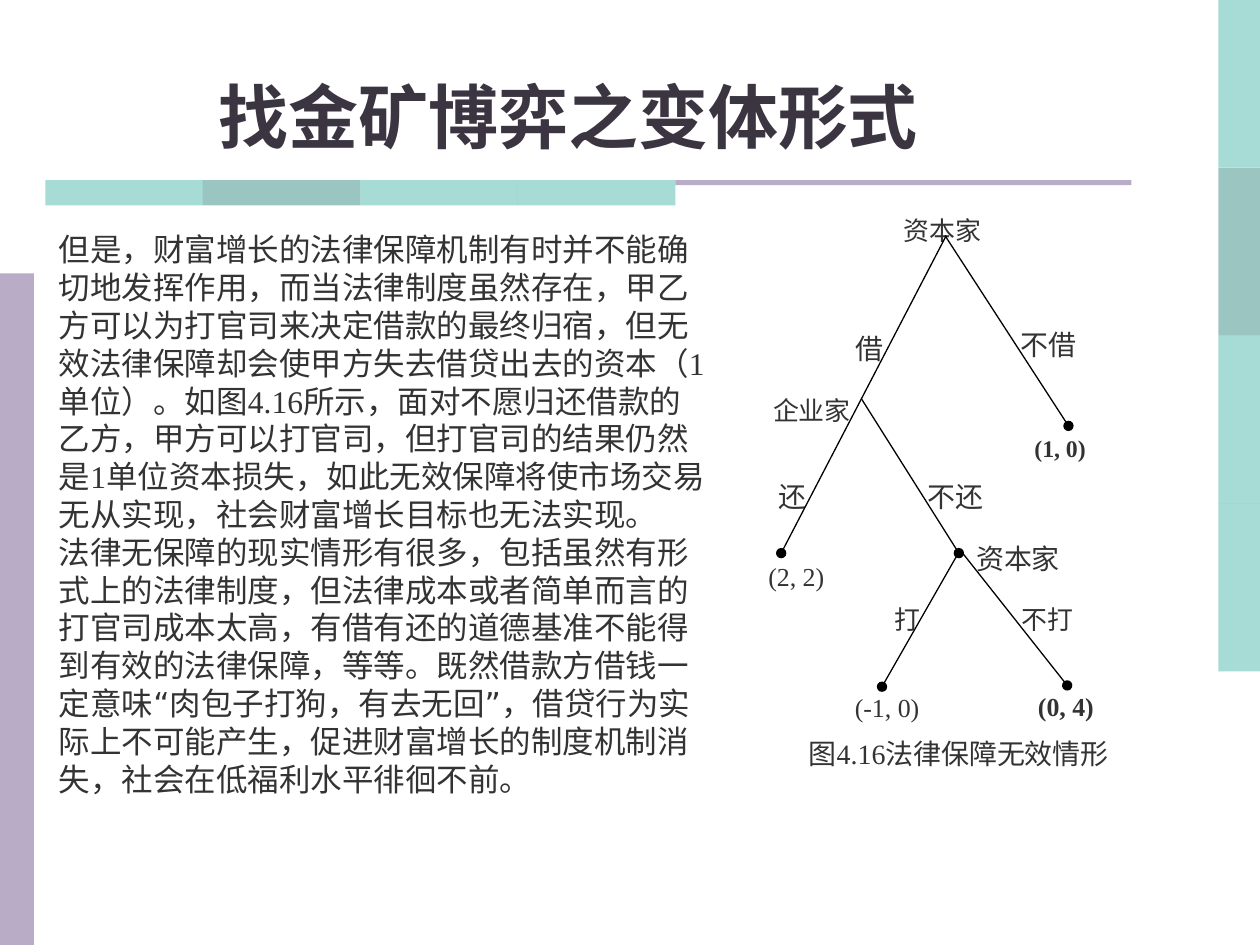
from dataclasses import dataclass

from lxml.etree import SubElement
from pptx import Presentation
from pptx.dml.color import RGBColor
from pptx.enum.shapes import MSO_CONNECTOR as Connector, MSO_SHAPE as Preset
from pptx.enum.text import MSO_ANCHOR as Anchor, MSO_AUTO_SIZE as AutoSize, PP_ALIGN as Align
from pptx.oxml.ns import qn
from pptx.util import Pt

EMU_PER_PX = 9144


@dataclass(frozen=True)
class Theme:
    title_color: str = "3A3541"
    text_color: str = "333333"
    white: str = "FFFFFF"
    black: str = "000000"
    lilac: str = "B8ACC6"
    teal: str = "51B9AF"
    deep_teal: str = "398D85"
    serif: str = "Times New Roman"
    sans: str = "DejaVu Sans"
    title_size: float = 40
    body_size: float = 18
    body_leading: float = 21.6
    large: float = 16
    medium: float = 14.8
    small: float = 13.6
    hairline: float = 0.75


@dataclass(frozen=True)
class Box:
    left: int
    top: int
    width: int
    height: int

    def inside(self, left, top, width, height):
        return Box(self.left + left, self.top + top, width, height)

    def emu(self):
        return [px(value) for value in (self.left, self.top, self.width, self.height)]


THEME = Theme()
SPACING = {THEME.large: 1.9, THEME.medium: 1.7, THEME.small: 1.8}


def px(value):
    return value * EMU_PER_PX


def color(name):
    return RGBColor.from_string(name)


def format_runs(paragraph, size, shade=THEME.text_color, bold=False, latin=THEME.serif):
    for run in paragraph.runs:
        run.font.size = Pt(size)
        run.font.bold = bold
        run.font.name = latin
        run.font.color.rgb = color(shade)
        SubElement(run.font._element, qn("a:ea"), typeface=THEME.sans)


def add_rectangle(slide, box, fill, opacity=100):
    shape = slide.shapes.add_shape(Preset.RECTANGLE, *box.emu())
    shape.shadow.inherit = False
    shape.fill.solid()
    shape.fill.fore_color.rgb = color(fill)
    shape.line.fill.background()
    if opacity < 100:
        fill_color = shape.fill._xPr.find(qn("a:solidFill"))[0]
        SubElement(fill_color, qn("a:alpha"), val=str(opacity * 1000))
    return shape


def add_band(slide, box, vertical=False):
    fills = [THEME.teal, THEME.deep_teal, THEME.teal, THEME.teal]
    length = box.height if vertical else box.width
    edges = [round(length * index / len(fills)) for index in range(len(fills) + 1)]
    for fill, start, end in zip(fills, edges, edges[1:]):
        if vertical:
            part = box.inside(0, start, box.width, end - start)
        else:
            part = box.inside(start, 0, end - start, box.height)
        add_rectangle(slide, part, fill, 50)


def add_decoration(slide, box):
    add_band(slide, box.inside(967, 0, 33, 533), vertical=True)
    add_rectangle(slide, box.inside(0, 217, 27, 533), THEME.lilac)
    add_band(slide, box.inside(36, 143, 500, 20))
    add_rectangle(slide, box.inside(536, 143, 362, 4), THEME.lilac)


def add_title(slide, box, text):
    title = slide.shapes.title
    title.left, title.top, title.width, title.height = box.emu()
    frame = title.text_frame
    frame.text = text
    frame.auto_size = AutoSize.NONE
    frame.vertical_anchor = Anchor.BOTTOM
    paragraph = frame.paragraphs[0]
    paragraph.alignment = Align.CENTER
    format_runs(paragraph, THEME.title_size, THEME.title_color, bold=True)


def add_body(slide, box, texts):
    frame = slide.shapes.add_textbox(*box.emu()).text_frame
    frame.word_wrap = True
    frame.text = "\n".join(texts)
    for paragraph, latin in zip(frame.paragraphs, (THEME.serif, THEME.sans)):
        paragraph.line_spacing = Pt(THEME.body_leading)
        format_runs(paragraph, THEME.body_size, latin=latin)


def add_caption(slide, box, text):
    frame = slide.shapes.add_textbox(*box.emu()).text_frame
    frame.word_wrap = False
    frame.text = text
    format_runs(frame.paragraphs[0], THEME.large)


def add_label(slide, box, text, size, alignment=Align.CENTER, bold=False):
    shape = add_rectangle(slide, box, THEME.white)
    shape.line.color.rgb = color(THEME.white)
    shape.line.width = Pt(THEME.hairline)
    frame = shape.text_frame
    frame.margin_left = frame.margin_top = frame.margin_right = frame.margin_bottom = 0
    frame.vertical_anchor = Anchor.TOP
    frame.word_wrap = True
    frame.text = text
    paragraph = frame.paragraphs[0]
    paragraph.alignment = alignment
    paragraph.line_spacing = 1.8 if alignment == Align.JUSTIFY else SPACING[size]
    format_runs(paragraph, size, bold=bold)


def add_branch(slide, box, start, end):
    points = [px(value) for x, y in (start, end) for value in (box.left + x, box.top + y)]
    connector = slide.shapes.add_connector(Connector.STRAIGHT, *points)
    connector.line.color.rgb = color(THEME.black)
    connector.line.width = Pt(THEME.hairline)
    SubElement(connector.line._get_or_add_ln(), qn("a:tailEnd"), type="oval")
    SubElement(connector._element.spPr, qn("a:effectLst"))


def add_game_tree(slide, box):
    large, medium, small = THEME.large, THEME.medium, THEME.small
    labels = [
        ((111, 0, 94, 42), "资本家", medium),
        ((18, 86, 93, 46), "借", large, Align.RIGHT),
        ((220, 86, 60, 46), "不借", large, Align.JUSTIFY),
        ((231, 173, 44, 42), "(1, 0)", small, Align.JUSTIFY, True),
        ((0, 143, 85, 42), "企业家", medium, Align.RIGHT),
        ((4, 204, 70, 53), "还", large),
        ((129, 204, 78, 53), "不还", large),
        ((11, 275, 62, 40), "(2, 2)", medium),
        ((179, 253, 78, 53), "资本家", large),
        ((98, 309, 64, 41), "打", medium),
        ((209, 309, 64, 41), "不打", medium),
        ((82, 379, 64, 41), "(-1, 0)", medium),
        ((224, 378, 64, 41), "(0, 4)", medium, Align.CENTER, True),
    ]
    branches = [
        ((161, 34), (30, 286)),
        ((160, 34), (258, 185)),
        ((94, 164), (171, 286)),
        ((170, 287), (110, 392)),
        ((174, 286), (257, 391)),
    ]
    for place, *details in labels:
        add_label(slide, box.inside(*place), *details)
    for start, end in branches:
        add_branch(slide, box, start, end)


def main():
    presentation = Presentation()
    page = Box(0, 0, 1000, 750)
    presentation.slide_width, presentation.slide_height = px(page.width), px(page.height)
    slide = presentation.slides.add_slide(presentation.slide_layouts[5])
    add_decoration(slide, page)
    add_title(slide, page.inside(0, 44, 902, 86), "找金矿博弈之变体形式")
    add_game_tree(slide, page.inside(590, 153, 311, 420))
    add_caption(slide, page.inside(632, 580, 269, 37), "图4.16法律保障无效情形")
    add_body(slide, page.inside(37, 178, 534, 490), [
        "但是，财富增长的法律保障机制有时并不能确切地发挥作用，而当法律制度虽然存在，"
        "甲乙方可以为打官司来决定借款的最终归宿，但无效法律保障却会使甲方失去借贷出去的资本"
        "（1单位）。如图4.16所示，面对不愿归还借款的乙方，甲方可以打官司，但打官司的结果"
        "仍然是1单位资本损失，如此无效保障将使市场交易无从实现，社会财富增长目标也无法实现。",
        "法律无保障的现实情形有很多，包括虽然有形式上的法律制度，但法律成本或者简单而言的"
        "打官司成本太高，有借有还的道德基准不能得到有效的法律保障，等等。既然借款方借钱一定意味"
        "“肉包子打狗，有去无回”，借贷行为实际上不可能产生，促进财富增长的制度机制消失，"
        "社会在低福利水平徘徊不前。",
    ])
    presentation.save("out.pptx")


if __name__ == "__main__":
    main()
